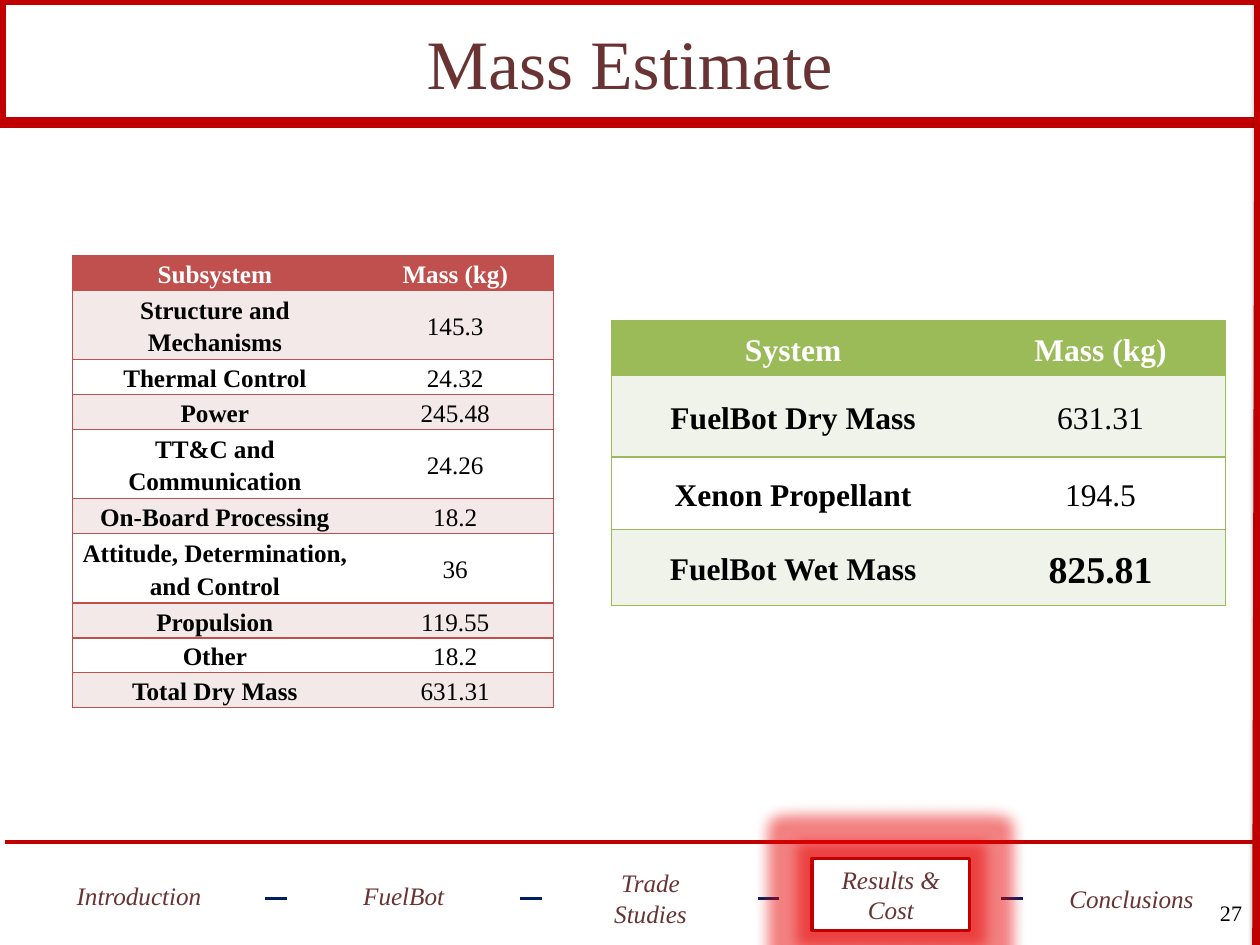
from pptx import Presentation
from pptx.dml.color import RGBColor
from pptx.enum.shapes import MSO_CONNECTOR, MSO_SHAPE
from pptx.enum.text import MSO_ANCHOR, PP_ALIGN
from pptx.oxml import parse_xml
from pptx.oxml.ns import nsdecls, qn
from pptx.util import Inches, Pt

RED = RGBColor(0xC0, 0x00, 0x00)
NAVY = RGBColor(0x00, 0x20, 0x60)
BROWN = RGBColor(0x69, 0x33, 0x33)
BLACK = RGBColor(0x00, 0x00, 0x00)
WHITE = RGBColor(0xFF, 0xFF, 0xFF)
BRICK = RGBColor(0xC0, 0x50, 0x4D)
PINK = RGBColor(0xF4, 0xE9, 0xE9)
GREEN = RGBColor(0x9B, 0xBB, 0x59)
MINT = RGBColor(0xEF, 0xF3, 0xEA)
FACE = "Times New Roman"

deck = Presentation()
deck.slide_width, deck.slide_height = Inches(11.11), Inches(8.33)
slide = deck.slides.add_slide(deck.slide_layouts[5])
shapes = slide.shapes

# The slide is a grid of 100 columns by 100 rows
COL, ROW = deck.slide_width / 100, deck.slide_height / 100


def grid(*spots):
    """Turn alternating columns and rows into lengths."""
    return [int(n * (ROW if i % 2 else COL)) for i, n in enumerate(spots)]


def rule(x1, y1, x2, y2, color, width, effect=""):
    line = shapes.add_connector(MSO_CONNECTOR.STRAIGHT, *grid(x1, y1, x2, y2))
    line.line.color.rgb = color
    line.line.width = Pt(width)
    line._element.spPr.append(parse_xml(
        f'<a:effectLst {nsdecls("a")}>{effect}</a:effectLst>'))


# Frame around the title and the slide edges
frame = shapes.add_shape(MSO_SHAPE.RECTANGLE, *grid(0, 0, 100, 12.97))
frame.shadow.inherit = False
frame.fill.background()
frame.line.color.rgb = RED
frame.line.width = Pt(7)
rule(0.36, 89.08, 99.91, 89.08, RED, 2.5)
rule(99.82, 100, 100, 0, RED, 7,
     '<a:outerShdw blurRad="39370" dist="20320" dir="5400000" rotWithShape="0">'
     '<a:srgbClr val="000000"><a:alpha val="38000"/></a:srgbClr></a:outerShdw>')

# Title
title = shapes.title
title.left, title.top, title.width, title.height = grid(7.5, 0, 85, 13.09)
title.text_frame.text = "Mass Estimate"
title.text_frame.vertical_anchor = MSO_ANCHOR.MIDDLE
head = title.text_frame.paragraphs[0]
head.alignment = PP_ALIGN.CENTER
head.font.name, head.font.size = FACE, Pt(44)
head.font.color.rgb = BROWN

# Navigation bar, with the current section boxed and glowing
for x in (21.06, 41.31, 60.13, 79.48):
    rule(x, 95.08, x + 1.71, 95.08, NAVY, 2)

for text, x, y, width in (("Introduction", 3.51, 91, 15.03),
                          ("FuelBot", 25.29, 91, 13.5),
                          ("Trade Studies", 45.63, 91.24, 12),
                          ("Results & Cost", 64.45, 90.88, 12.51),
                          ("Conclusions", 83.8, 91.24, 12)):
    step = shapes.add_shape(MSO_SHAPE.RECTANGLE, *grid(x, y, width, 7.56))
    step.shadow.inherit = False
    if text == "Results & Cost":
        step.fill.solid()
        step.fill.fore_color.rgb = WHITE
        step.line.color.rgb = RED
        step.line.width = Pt(2)
        step._element.spPr.find(qn("a:effectLst")).append(parse_xml(
            f'<a:glow {nsdecls("a")} rad="228600"><a:srgbClr val="E80000">'
            '<a:alpha val="50000"/></a:srgbClr></a:glow>'))
    else:
        step.fill.background()
        step.line.fill.background()
    step.text_frame.word_wrap = True
    step.text_frame.vertical_anchor = MSO_ANCHOR.MIDDLE
    step.text_frame.text = text
    label = step.text_frame.paragraphs[0]
    label.alignment = PP_ALIGN.CENTER
    label.font.name, label.font.size = FACE, Pt(16)
    label.font.italic = True
    label.font.color.rgb = BROWN

# Slide number
page = shapes.add_textbox(*grid(95.14, 94.6, 4.32, 5.4))
page.text_frame.word_wrap = True
page.text_frame.text = "27"
digits = page.text_frame.paragraphs[0]
digits.alignment = PP_ALIGN.RIGHT
digits.font.name, digits.font.size = FACE, Pt(14)
digits.font.color.rgb = BLACK

# Mass tables: place, column widths, row heights, size, colours, rows
parts = (("Subsystem", "Mass (kg)"),
         ("Structure and Mechanisms", "145.3"),
         ("Thermal Control", "24.32"),
         ("Power", "245.48"),
         ("TT&C and Communication", "24.26"),
         ("On-Board Processing", "18.2"),
         ("Attitude, Determination, and Control", "36"),
         ("Propulsion", "119.55"),
         ("Other", "18.2"),
         ("Total Dry Mass", "631.31"))
totals = (("System", "Mass (kg)"),
          ("FuelBot Dry Mass", "631.31"),
          ("Xenon Propellant", "194.5"),
          ("FuelBot Wet Mass", "825.81"))

for x, y, widths, heights, size, main, band, rows in (
        (5.76, 27.01, (22.59, 15.57), [3] * 6 + [5] + [3] * 3,
         16, BRICK, PINK, parts),
        (48.51, 33.97, (28.89, 19.89), (5.76, 8.64, 7.68, 8.04),
         20, GREEN, MINT, totals)):
    table = shapes.add_table(len(rows), 2,
                             *grid(x, y, sum(widths), sum(heights))).table
    table.horz_banding = False
    for c, width in enumerate(widths):
        table.columns[c].width = int(width * COL)
    for r, height in enumerate(heights):
        table.rows[r].height = int(height * ROW)
        for c, text in enumerate(rows[r]):
            cell = table.cell(r, c)
            cell.margin_left = cell.margin_right = Inches(0.07)
            cell.margin_top = cell.margin_bottom = 0
            cell.vertical_anchor = MSO_ANCHOR.MIDDLE
            cell.fill.solid()
            cell.fill.fore_color.rgb = main if r == 0 else band if r % 2 else WHITE
            cell.text = text
            entry = cell.text_frame.paragraphs[0]
            entry.alignment = PP_ALIGN.CENTER
            entry.line_spacing = 1.15
            grand = text == "825.81"
            entry.font.name, entry.font.size = FACE, Pt(24 if grand else size)
            entry.font.bold = r == 0 or c == 0 or grand
            entry.font.color.rgb = BLACK if r else WHITE
            # Borders everywhere but between the two columns
            inner = "R" if c == 0 else "L"
            for i, side in enumerate("LRTB"):
                paint = ("<a:noFill/>" if side == inner else
                         f'<a:solidFill><a:srgbClr val="{main}"/></a:solidFill>')
                cell._tc.tcPr.insert(i, parse_xml(
                    f'<a:ln{side} {nsdecls("a")} w="12700">{paint}</a:ln{side}>'))

deck.save("out.pptx")
